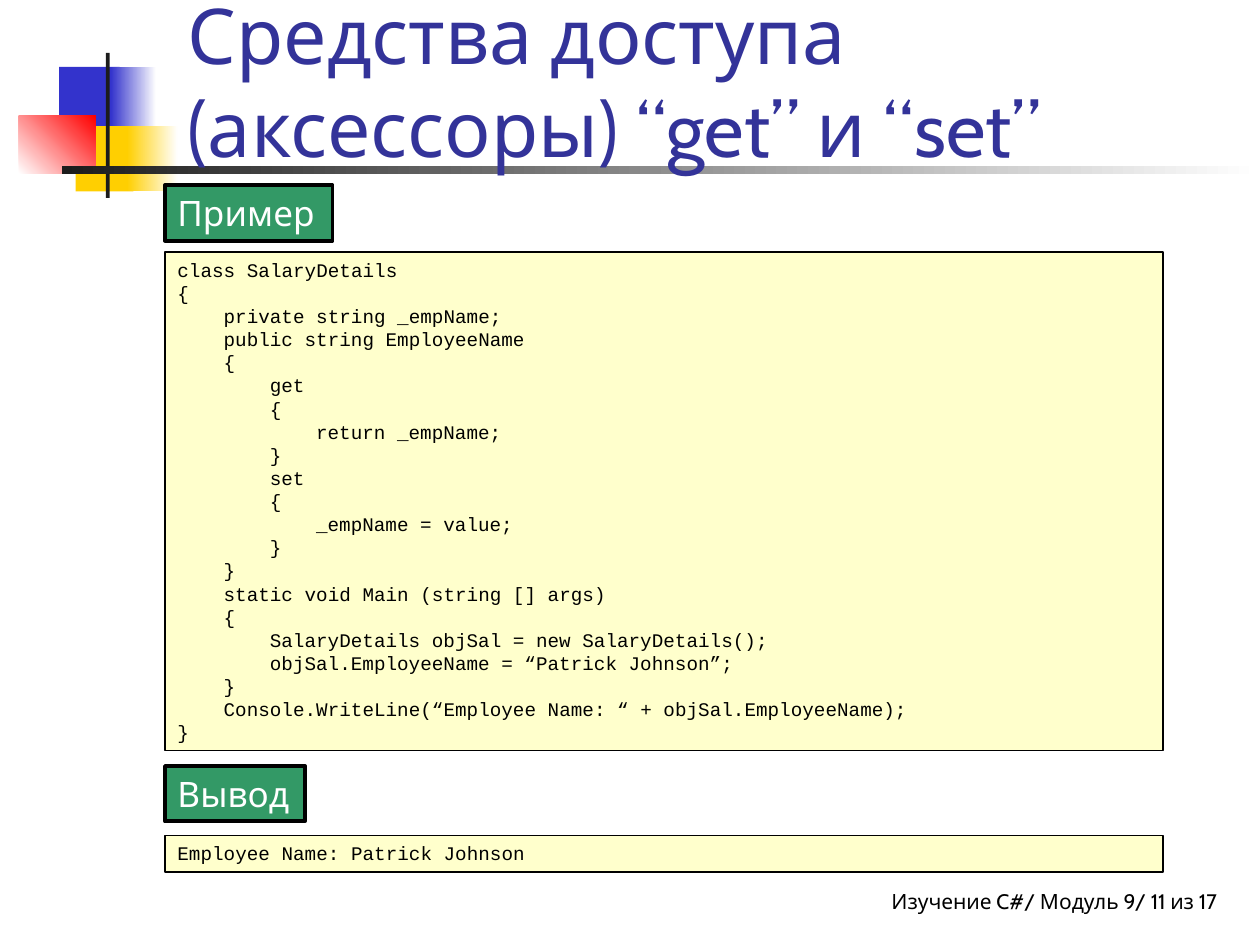
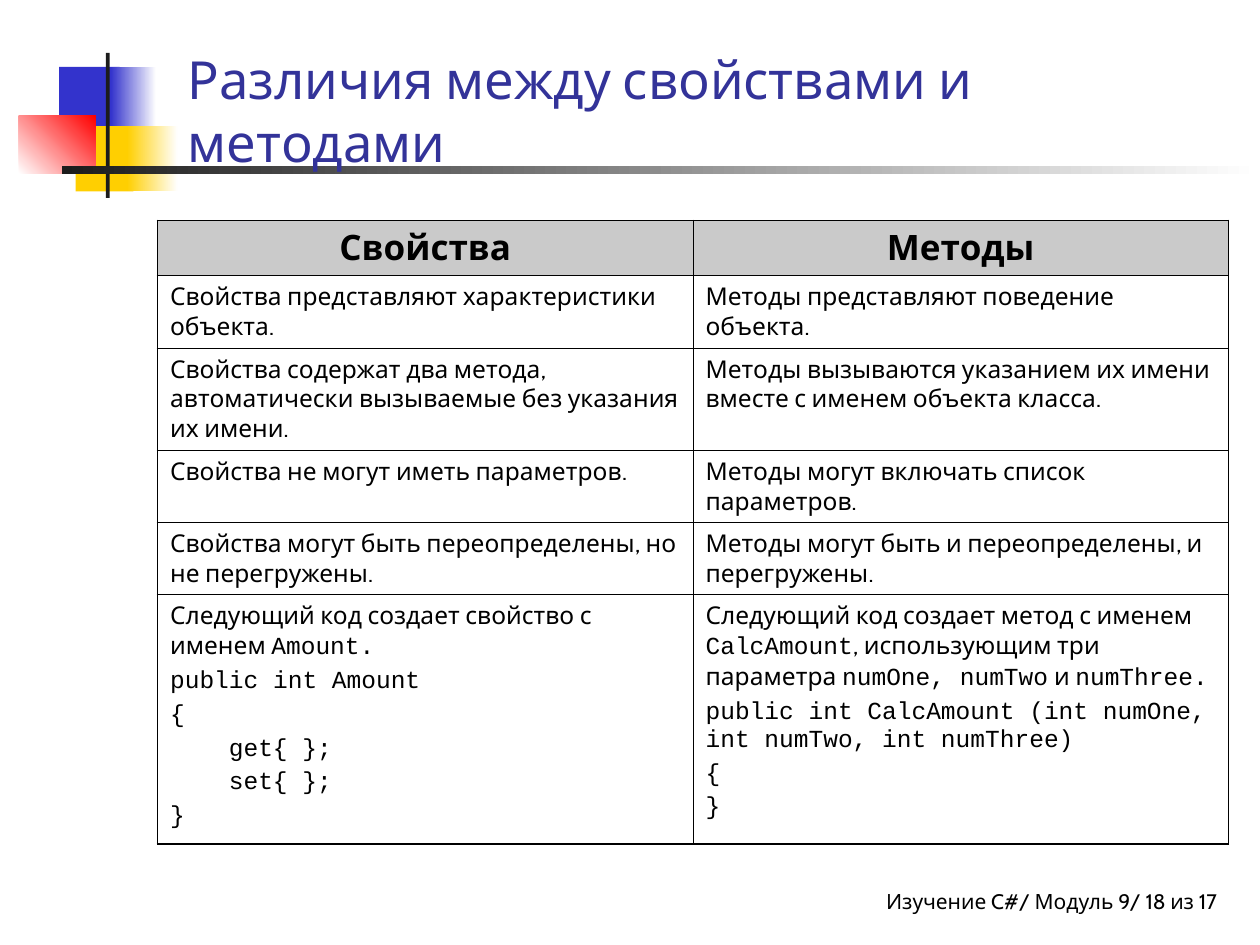
from dataclasses import dataclass

from lxml.etree import SubElement as Sub
from pptx import Presentation as Deck
from pptx.dml.color import RGBColor as Rgb
from pptx.enum.shapes import MSO_SHAPE as Kind
from pptx.enum.text import MSO_ANCHOR as Anchor, MSO_AUTO_SIZE as Fit, PP_ALIGN as Align
from pptx.oxml.ns import qn
from pptx.util import Inches, Pt

CODE = """class SalaryDetails
{
    private string _empName;
    public string EmployeeName
    {
        get
        {
            return _empName;
        }
        set
        {
            _empName = value;
        }
    }
    static void Main (string [] args)
    {
        SalaryDetails objSal = new SalaryDetails();
        objSal.EmployeeName = “Patrick Johnson”;
    }
    Console.WriteLine(“Employee Name: “ + objSal.EmployeeName);
}"""

ROWS = [
    ("Свойства", "Методы"),
    ("Свойства представляют характеристики объекта.",
     "Методы представляют поведение объекта."),
    ("Свойства содержат два метода, автоматически вызываемые без указания их имени.",
     "Методы вызываются указанием их имени вместе с именем объекта класса."),
    ("Свойства не могут иметь параметров.",
     "Методы могут включать список параметров."),
    ("Свойства могут быть переопределены, но не перегружены.",
     "Методы могут быть и переопределены, и перегружены."),
    ("""Следующий код создает свойство с именем `Amount.`
`public int Amount`
`{`
    `get{ };`
    `set{ };`
`}`""",
     """Следующий код создает метод с именем `CalcAmount`, использующим три параметра `numOne, numTwo` и `numThree.`
`public int CalcAmount (int numOne, int numTwo, int numThree)`
`{`
`}`"""),
]


@dataclass(frozen=True)
class Theme:
    """Colours, faces and type sizes of the deck."""
    face: str = "Cabin"
    mono: str = "Courier New"
    ink: str = "000000"
    white: str = "FFFFFF"
    title: str = "333399"
    blue: str = "3333CC"
    gold: str = "FFCF01"
    red: str = "FF0000"
    dark: str = "1C1C1C"
    green: str = "339966"
    cream: str = "FFFFCC"
    gray: str = "969696"
    big: float = 44
    mid: float = 30
    head: float = 20
    body: float = 14
    foot: float = 12
    code: float = 11
    thick: float = 1.08
    thin: float = 0.45


class Board:
    """Draws on the current slide, on a grid of 100 columns by 75 rows."""

    def __init__(self, theme):
        self.theme = theme
        self.deck = Deck()
        self.deck.slide_width, self.deck.slide_height = Inches(10), Inches(7.5)
        self.col = self.deck.slide_width / 100
        self.row = self.deck.slide_height / 75
        self.base = self.deck.slide_layouts[5]
        self.slide = None

    def place(self, x, y, w, h):
        """Turn grid units into lengths."""
        return round(x * self.col), round(y * self.row), round(w * self.col), round(h * self.row)

    def start(self, title, size, page):
        """Open a slide with its title and footer."""
        self.slide = self.deck.slides.add_slide(self.base)
        if len(self.deck.slides) == 1:
            self.brand()
        t = self.theme
        head = self.slide.shapes.title
        head.left, head.top, head.width, head.height = self.place(13.9, 1.7, 85.2, 12.5)
        self.frame(head.text_frame, title, size, t.title, anchor=Anchor.BOTTOM)
        foot = self.slide.shapes.add_textbox(*self.place(45.8, 70, 50.8, 3.3)).text_frame
        self.frame(foot, f"Изучение C#/ Модуль 9/ {page} из 17", t.foot, t.ink, align=Align.RIGHT)
        foot.margin_right = 0

    def brand(self):
        """Put the coloured blocks and the rule on the shared layout."""
        for item in list(self.base.placeholders):
            if item.placeholder_format.idx:
                item.element.getparent().remove(item.element)
        t = self.theme
        for spot, fill, turn in (
            ((4.7, 5.3, 4.8, 5.2), (t.blue,), 0),
            ((8.8, 5.3, 3.6, 5.2), (t.blue, t.white), 0),
            ((6, 10, 4.6, 5.2), (t.gold,), 0),
            ((10.1, 10, 4, 5.2), (t.gold, t.white), 0),
            ((1.5, 9.2, 6.1, 4.6), (t.white, t.red), 45),
            ((8.4, 4.2, 0.3, 11.5), (t.dark,), 0),
            ((4.9, 13.2, 95.1, 0.6), (t.dark, t.white), 0),
        ):
            block = self.block(spot, fill, turn=turn)
            self.base.shapes.element.append(block.element)

    def block(self, spot, fill, line=0, turn=0):
        """Add a rectangle with a plain or two-colour fill."""
        box = self.slide.shapes.add_shape(Kind.RECTANGLE, *self.place(*spot))
        box.shadow.inherit = False
        if len(fill) > 1:
            box.fill.gradient()
            box.fill.gradient_angle = turn
            for stop, tone in zip(box.fill.gradient_stops, fill):
                stop.color.rgb = Rgb.from_string(tone)
        else:
            box.fill.solid()
            box.fill.fore_color.rgb = Rgb.from_string(fill[0])
        if line:
            box.line.color.rgb = Rgb.from_string(self.theme.ink)
            box.line.width = Pt(line)
        else:
            box.line.fill.background()
        return box

    def label(self, text, y, w):
        """Add a green heading box."""
        t = self.theme
        box = self.block((13.1, y, w, 4.4), (t.green,), 2.25)
        self.frame(box.text_frame, text, t.head, t.white)

    def code(self, text, y, h):
        """Add a cream box of code."""
        t = self.theme
        box = self.block((13.1, y, 79.2, h), (t.cream,), 0.75)
        self.frame(box.text_frame, text, t.code, t.ink, face=t.mono)

    def frame(self, frame, text, size, tone, face=None, anchor=Anchor.TOP, **look):
        """Set up a text frame and fill it."""
        frame.word_wrap = True
        frame.auto_size = Fit.NONE
        frame.vertical_anchor = anchor
        self.fill(frame, text, size, tone, face, **look)

    def fill(self, frame, text, size, tone, face=None, align=Align.LEFT, gap=0, bold=False):
        """Set lines; backticks mark code and leading spaces set the indent."""
        t = self.theme
        for i, line in enumerate(text.split("\n")):
            para = frame.add_paragraph() if i else frame.paragraphs[0]
            body = line.lstrip(" ")
            parts = [(s, k % 2) for k, s in enumerate(body.split("`")) if s]
            pure = all(code for _, code in parts)
            para.alignment = align
            para.space_before = Pt(gap)
            font = para.font
            font.name = t.mono if pure else face or t.face
            font.size, font.bold = Pt(size), bold
            font.color.rgb = Rgb.from_string(tone)
            depth = len(line) - len(body)
            if depth:
                para._p.get_or_add_pPr().set("marL", str(Pt(depth * size * 0.6)))
            for word, code in parts:
                run = para.add_run()
                run.text = word
                if code and not pure:
                    run.font.name = t.mono

    def edge(self, cell, side, width):
        """Draw one border of a cell."""
        line = Sub(cell._tc.get_or_add_tcPr(), qn(f"a:ln{side}"), w=str(Pt(width)))
        Sub(Sub(line, qn("a:solidFill")), qn("a:srgbClr"), val=self.theme.ink)

    def table(self, rows, spot, highs):
        """Add a ruled table with a shaded head row."""
        t = self.theme
        wide = len(rows[0])
        grid = self.slide.shapes.add_table(len(rows), wide, *self.place(*spot)).table
        grid.first_row = grid.horz_banding = False
        for r, (texts, high) in enumerate(zip(rows, highs)):
            grid.rows[r].height = round(high * self.row)
            for c, text in enumerate(texts):
                cell = grid.cell(r, c)
                outer = {"L": c == 0, "R": c == wide - 1, "T": r == 0, "B": r == len(rows) - 1}
                for side, rim in outer.items():
                    self.edge(cell, side, t.thick if rim else t.thin)
                if r:
                    cell.fill.background()
                    self.fill(cell.text_frame, text, t.body, t.ink, gap=3.5)
                else:
                    cell.fill.solid()
                    cell.fill.fore_color.rgb = Rgb.from_string(t.gray)
                    tint = cell._tc.tcPr.find(qn("a:solidFill"))[0]
                    Sub(tint, qn("a:alpha"), val="50000")
                    self.fill(cell.text_frame, text, t.head, t.ink,
                              align=Align.CENTER, gap=5, bold=True)


def main():
    """Build both slides and save them."""
    t = Theme()
    board = Board(t)
    board.start("Средства доступа (аксессоры) “get” и “set”", t.big, 11)
    board.label("Пример", 14.7, 13.3)
    board.code(CODE, 20, 39.6)
    board.label("Вывод", 60.8, 11.1)
    board.code("Employee Name: Patrick Johnson", 66.3, 2.9)
    board.start("Различия между свойствами и методами", t.mid, 18)
    board.table(ROWS, (12.5, 17.5, 85, 49.2), (4.3, 5.7, 8, 5.7, 5.7, 19.8))
    board.deck.save("out.pptx")


if __name__ == "__main__":
    main()
